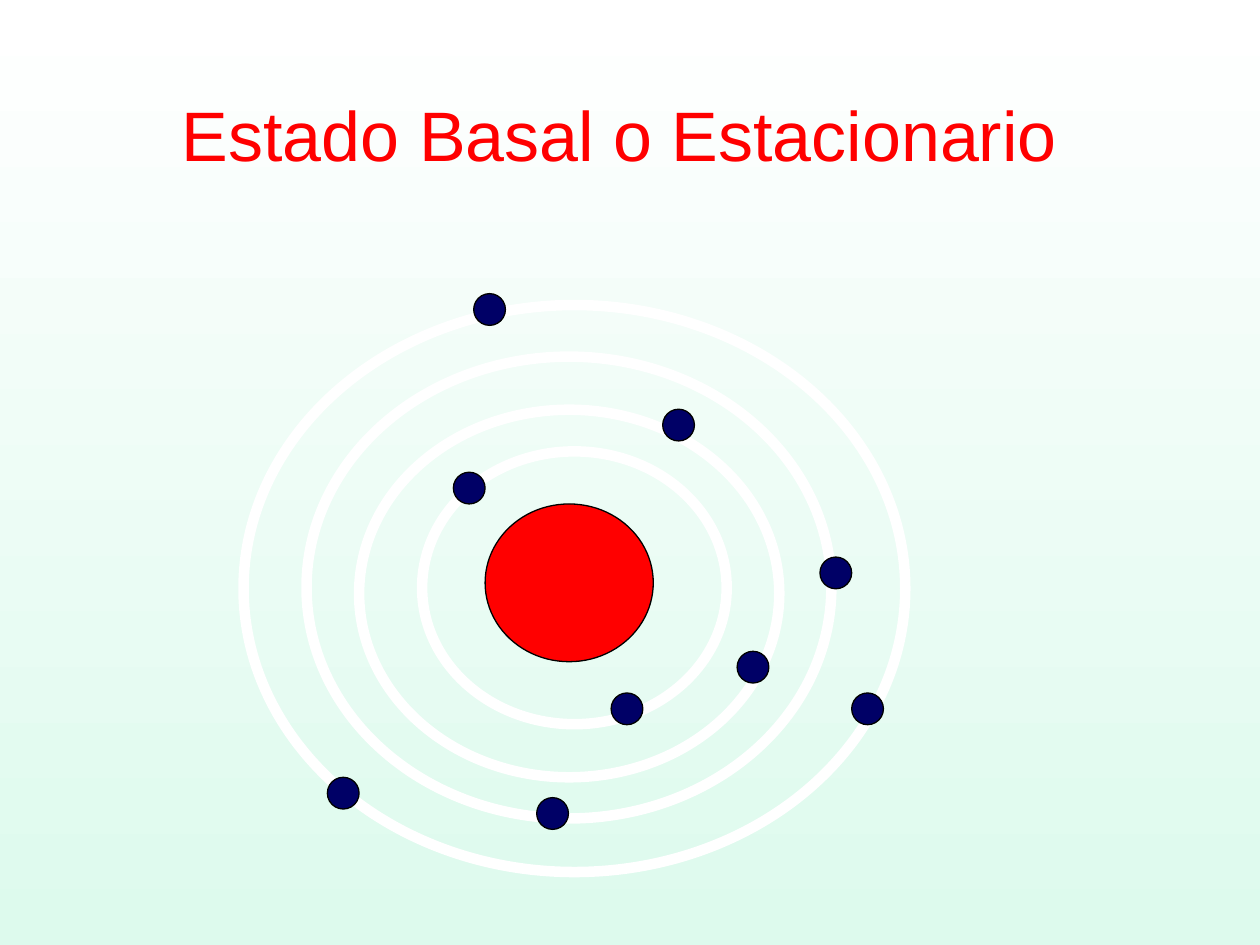
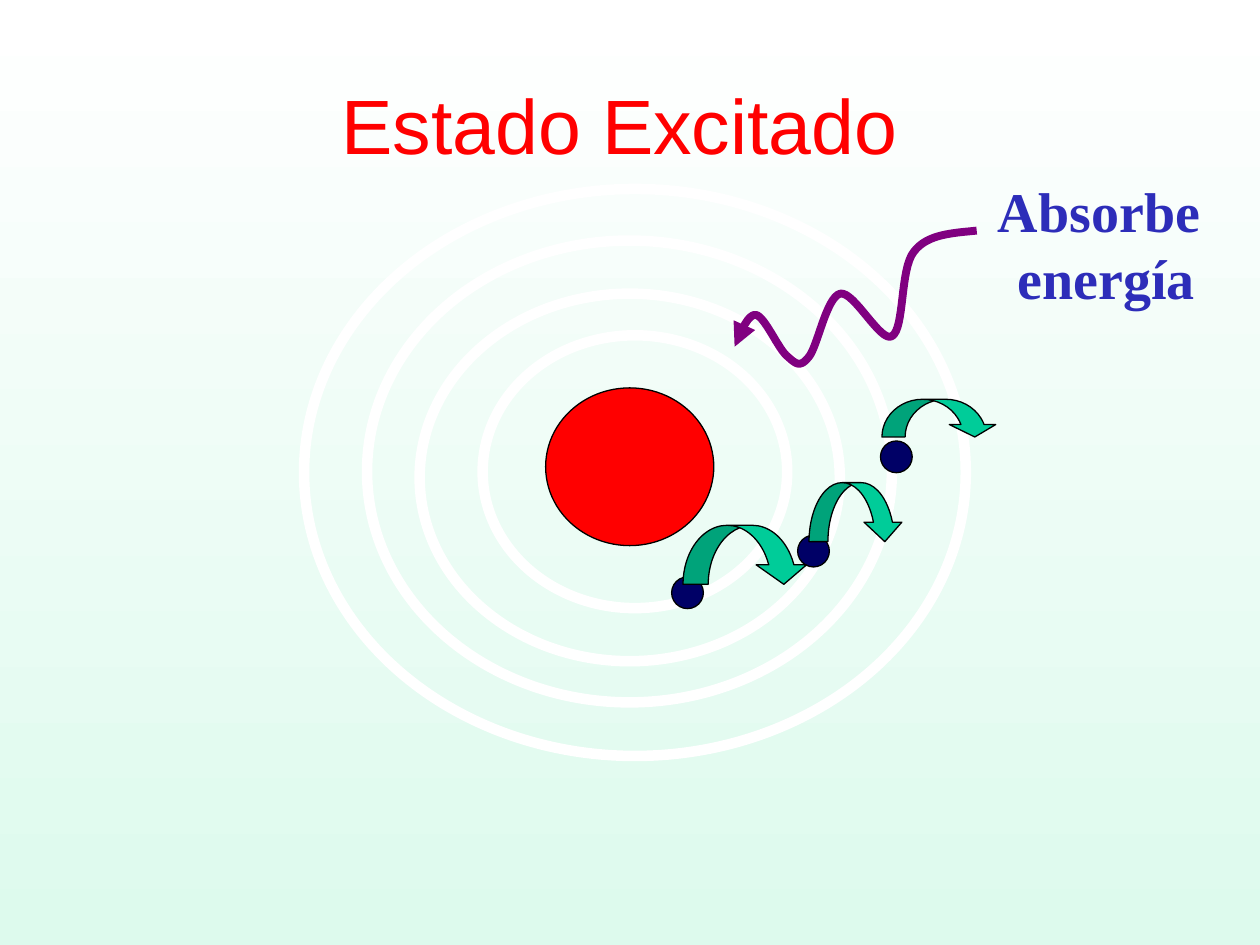
from typing import NamedTuple, Optional

import lxml.etree
import pptx
import pptx.dml.color
import pptx.enum.shapes
import pptx.enum.text
import pptx.oxml.ns
import pptx.util

Cm = pptx.util.Cm
Pt = pptx.util.Pt
SHAPE = pptx.enum.shapes.MSO_SHAPE

# Shared colours
WHITE, BLACK, MINT = "FFFFFF", "000000", "DDFAED"
RED, NAVY, GREEN = "FF0000", "000066", "00CC99"
PURPLE, INDIGO = "800080", "2D2DB9"


class Box(NamedTuple):
    """Left, top, width and height in centimetres."""
    x: float
    y: float
    w: float
    h: float


class Point(NamedTuple):
    x: float
    y: float


# The atom, measured from the centre of its nucleus
NUCLEUS = Box(-1.69, -1.59, 3.39, 3.18)
ORBITS = [
    Box(-4.23, -3.49, 8.47, 7.41),
    Box(-5.29, -4.56, 10.58, 9.31),
    Box(-6.56, -5.6, 13.34, 11.43),
    Box(-2.96, -2.65, 6.14, 5.5),
]
ELECTRON_SIZE = 0.64
ELECTRONS = [
    Point(1.17, 2.54), Point(3.71, 1.7), Point(5.38, -0.2),
    Point(6.02, 2.54), Point(2.21, -3.18), Point(-0.33, 4.65),
    Point(-4.55, 4.24), Point(-2.01, -1.91), Point(-1.6, -5.51),
]

# Electron jumps and the incoming energy wave (start, then Bézier triples)
JUMPS = [
    Box(13.77, 10.59, 2.54, 1.19),
    Box(16.31, 9.73, 1.91, 1.19),
    Box(17.78, 8.05, 2.34, 0.76),
]
WAVE = [
    Point(19.69, 4.65),
    Point(19.2, 4.7), Point(18.69, 4.72), Point(18.42, 5.08),
    Point(18.14, 5.44), Point(18.24, 6.63), Point(17.98, 6.78),
    Point(17.75, 6.91), Point(17.22, 5.87), Point(16.94, 5.92),
    Point(16.66, 5.99), Point(16.48, 6.99), Point(16.31, 7.19),
    Point(16.13, 7.42), Point(16.05, 7.34), Point(15.88, 7.19),
    Point(15.7, 7.06), Point(15.42, 6.38), Point(15.24, 6.35),
    Point(15.06, 6.32), Point(14.88, 6.83), Point(14.81, 6.99),
]


def rgb(color: str) -> pptx.dml.color.RGBColor:
    return pptx.dml.color.RGBColor.from_string(color)


def paint(sp, fill: Optional[str], line: str, width: float) -> None:
    sp.shadow.inherit = False
    if fill:
        sp.fill.solid()
        sp.fill.fore_color.rgb = rgb(fill)
    else:
        sp.fill.background()
    sp.line.color.rgb = rgb(line)
    sp.line.width = Pt(width)


def add_preset(shapes, kind, box: Box, fill: Optional[str],
               line: str = BLACK, width: float = 0.75):
    sp = shapes.add_shape(kind, *(Cm(v) for v in box))
    paint(sp, fill, line, width)
    return sp


def add_text(s, box: Box, lines: list[str], font: str, size: int,
             color: str, bold: bool = False, wrap: bool = True,
             anchor=pptx.enum.text.MSO_ANCHOR.MIDDLE) -> None:
    tf = s.shapes.add_textbox(*(Cm(v) for v in box)).text_frame
    tf.word_wrap = wrap
    tf.vertical_anchor = anchor
    for i, line in enumerate(lines):
        p = tf.add_paragraph() if i else tf.paragraphs[0]
        p.text = line
        p.alignment = pptx.enum.text.PP_ALIGN.CENTER
        p.font.name, p.font.size, p.font.bold = font, Pt(size), bold
        p.font.color.rgb = rgb(color)


def add_title(s, box: Box, text: str, size: int) -> None:
    add_text(s, box, [text], "Arial", size, RED)


def add_atom(shapes, center: Point, electrons: list[Point]) -> None:
    def placed(box: Box) -> Box:
        return box._replace(x=center.x + box.x, y=center.y + box.y)

    add_preset(shapes, SHAPE.OVAL, placed(NUCLEUS), RED)
    for orbit in ORBITS:
        add_preset(shapes, SHAPE.OVAL, placed(orbit), None, WHITE, 6)
    half = ELECTRON_SIZE / 2
    for e in electrons:
        box = Box(e.x - half, e.y - half, ELECTRON_SIZE, ELECTRON_SIZE)
        add_preset(shapes, SHAPE.OVAL, placed(box), NAVY)


def add_jump(s, box: Box) -> None:
    """Curved arrow whose shaft and head widths follow its own width."""
    sp = add_preset(s.shapes, SHAPE.CURVED_DOWN_ARROW, box, GREEN)
    ratio = box.w / box.h
    for i, value in enumerate((0.2 * ratio, 0.4 * ratio, 0.33)):
        sp.adjustments[i] = value


def bezier(a: float, b: float, c: float, d: float, t: float) -> float:
    u = 1 - t
    return u**3 * a + 3 * u * u * t * b + 3 * u * t * t * c + t**3 * d


def add_wave(s, points: list[Point], steps: int = 16) -> None:
    curve = []
    for i in range(0, len(points) - 1, 3):
        xs, ys = zip(*points[i:i + 4])
        for k in range(1, steps + 1):
            t = k / steps
            curve.append((Cm(bezier(*xs, t)), Cm(bezier(*ys, t))))
    fb = s.shapes.build_freeform(Cm(points[0].x), Cm(points[0].y))
    fb.add_line_segments(curve, close=False)
    sp = fb.convert_to_shape()
    paint(sp, None, PURPLE, 4.5)
    ln = sp.line._get_or_add_ln()
    lxml.etree.SubElement(ln, pptx.oxml.ns.qn("a:round"))
    lxml.etree.SubElement(ln, pptx.oxml.ns.qn("a:tailEnd"), type="triangle")


def set_background(prs) -> None:
    fill = prs.slide_master.background.fill
    fill.gradient()
    fill.gradient_angle = 270
    for stop, position, color in zip(fill.gradient_stops, (0, 1), (WHITE, MINT)):
        stop.position = position
        stop.color.rgb = rgb(color)


def main() -> None:
    prs = pptx.Presentation()
    prs.slide_width, prs.slide_height = Cm(25.4), Cm(19.05)
    set_background(prs)
    blank = prs.slide_layouts[6]

    # Ground state
    s = prs.slides.add_slide(blank)
    add_title(s, Box(1.27, 0.69, 22.43, 3.99), "Estado Basal o Estacionario", 40)
    add_atom(s.shapes.add_group_shape().shapes, Point(11.47, 11.75), ELECTRONS)

    # Excited state
    s = prs.slides.add_slide(blank)
    add_title(s, Box(1.7, 0.91, 21.59, 3.18), "Estado Excitado", 44)
    add_atom(s.shapes, Point(12.69, 9.41), ELECTRONS[:3])
    for jump in JUMPS:
        add_jump(s, jump)
    add_wave(s, WAVE)
    add_text(s, Box(19.86, 3.43, 4.88, 2.97), ["Absorbe ", "energía"],
             "Times New Roman", 32, INDIGO, bold=True, wrap=False,
             anchor=pptx.enum.text.MSO_ANCHOR.TOP)

    prs.save("out.pptx")


if __name__ == "__main__":
    main()
